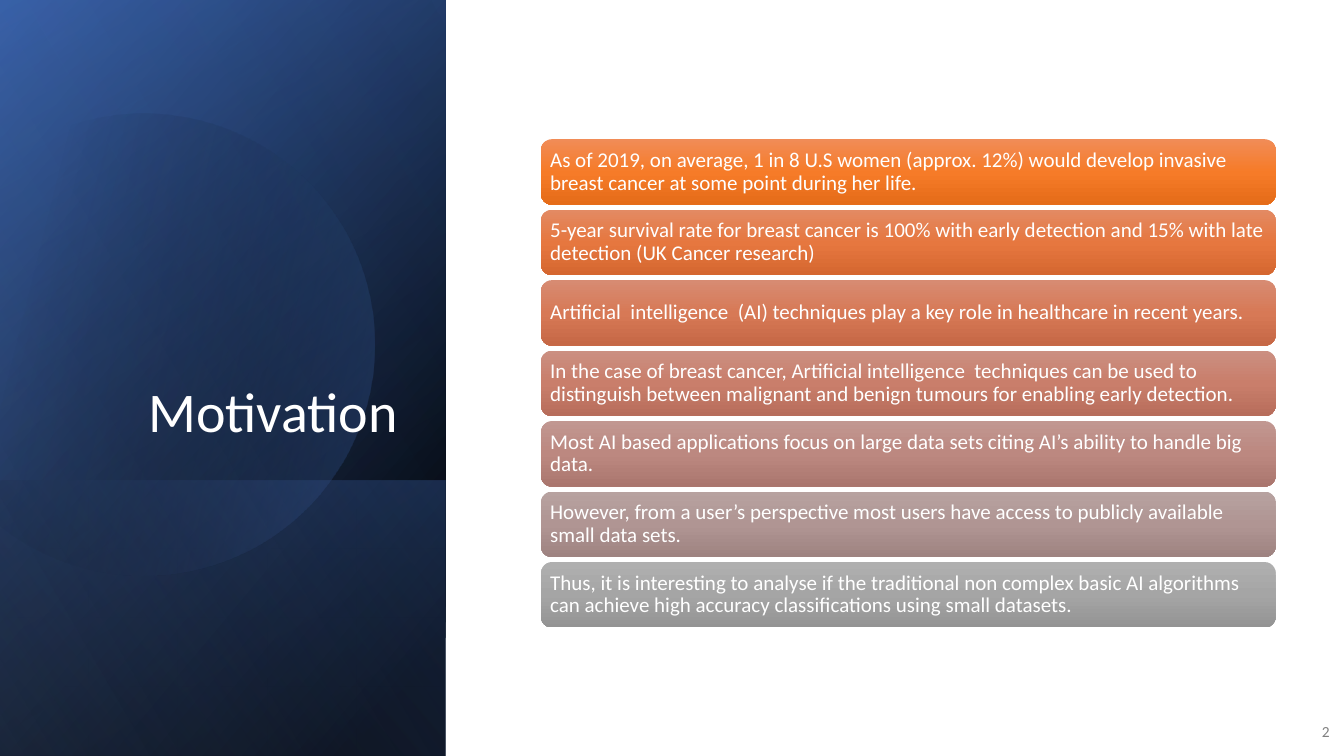
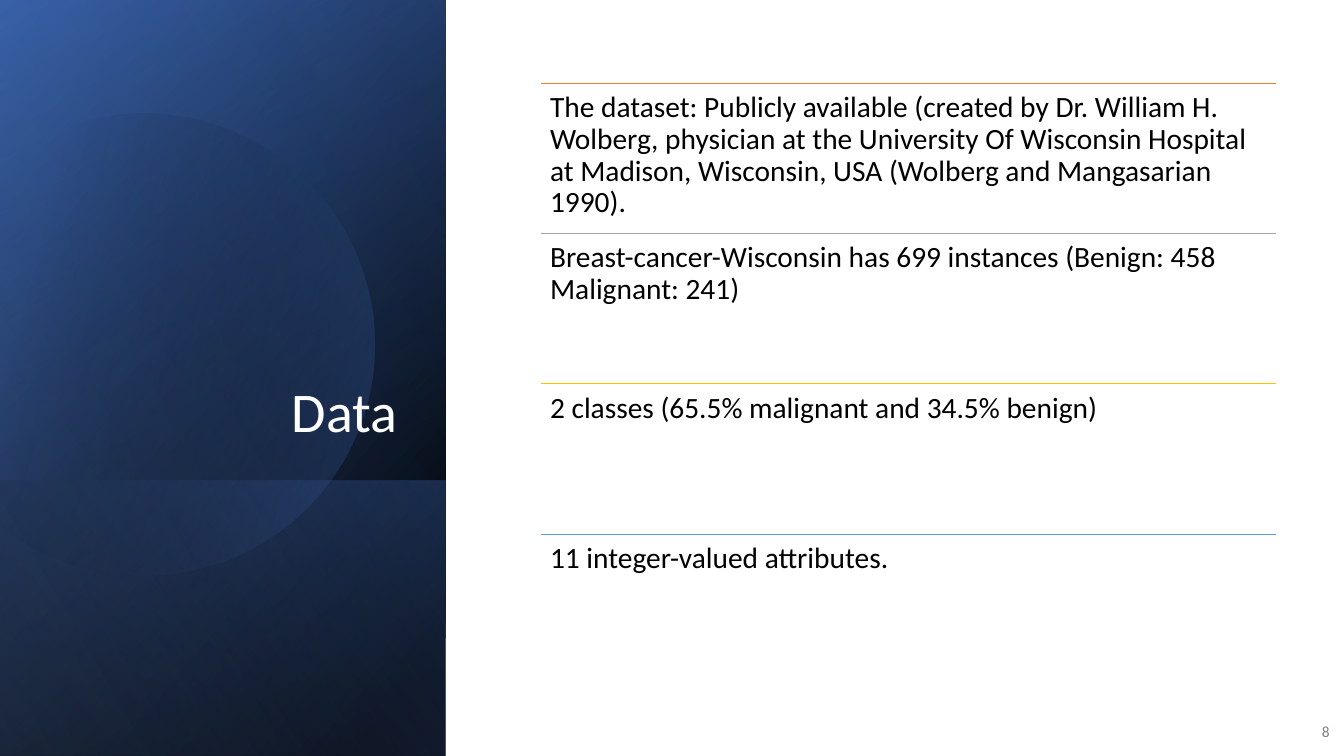
from collections import namedtuple
from dataclasses import dataclass
from math import cos, radians, sin, tan

from pptx import Presentation
from pptx.dml.color import RGBColor
from pptx.enum.shapes import MSO_CONNECTOR, MSO_SHAPE
from pptx.enum.text import MSO_ANCHOR, PP_ALIGN
from pptx.oxml import parse_xml
from pptx.oxml.ns import nsdecls, qn
from pptx.util import Inches, Pt


@dataclass(frozen=True)
class Theme:
    font: str = "Calibri"
    white: str = "FFFFFF"
    ink: str = "000000"
    muted: str = "808080"
    navy: str = "2F5597"
    blue: str = "4472C4"
    pale: str = "8FAADC"
    title: int = 40
    body: int = 21
    bar: int = 15
    foot: int = 11
    rule: float = 0.5


T = Theme()
WIDE, HIGH = 13.33, 7.5
COLS = ROWS = 12


class Box(namedtuple("Box", "x y w h")):
    """An area of the slide, in inches."""

    def emu(self):
        return [Inches(v) for v in self]

    def rows(self, count, gap=0):
        high = (self.h - gap * (count - 1)) / count
        return [Box(self.x, self.y + i * (high + gap), self.w, high)
                for i in range(count)]

    def turn(self):
        """The box which covers this one after a quarter turn."""
        shift = (self.w - self.h) / 2
        return Box(self.x + shift, self.y - shift, self.h, self.w)


def grid(col, row, wide, high):
    return Box(col * WIDE / COLS, row * HIGH / ROWS,
               wide * WIDE / COLS, high * HIGH / ROWS)


PANEL = grid(0, 0, 3.98, 12)
LOWER = grid(0, 7.62, 3.98, 4.38)
TITLE = grid(0.58, 2.94, 3.06, 4.19)
FOOT = grid(11.52, 11.29, 0.44, 0.64)
BARS = grid(4.83, 2.21, 6.56, 7.75)
LIST = grid(4.83, 1.32, 6.56, 9.54)

# Panel layers: box, angle, stops of position, colour and opacity
LAYERS = [
    (PANEL, 50, [(8, T.ink, 100), (100, T.navy, 100)]),
    (PANEL, 30, [(0, T.ink, 0), (99, T.blue, 46)]),
    (LOWER, 130, [(2, T.blue, 29), (100, T.ink, 30)]),
]
GLOW = (30, [(29, T.ink, 0), (100, T.blue, 43)])
SHEEN = (PANEL, 120, [(0, T.ink, 0), (99, T.pale, 11)])
TILT = 343.9
ARC = (-118, -90, 0, 90, 150)  # degrees, broken at the extremes

REASONS = [
    ("As of 2019, on average, 1 in 8 U.S women (approx. 12%) would develop "
     "invasive breast cancer at some point during her life.",
     ("F18C57", "F67B28", "E56C19")),
    ("5-year survival rate for breast cancer is 100% with early detection "
     "and 15% with late detection (UK Cancer research)",
     ("E38A63", "E6773F", "D56730")),
    ("Artificial  intelligence  (AI) techniques play a key role in "
     "healthcare in recent years.",
     ("D78B72", "D77956", "C66846")),
    ("In the case of breast cancer, Artificial intelligence  techniques can "
     "be used to distinguish between malignant and benign tumours for "
     "enabling early detection.",
     ("CB8F81", "C97E6B", "B76D5B")),
    ("Most AI based applications focus on large data sets citing AI’s "
     "ability to handle big data.",
     ("C19791", "BC8880", "AA766E")),
    ("However, from a user’s perspective most users have access to publicly "
     "available small data sets.",
     ("B7A2A0", "B09593", "9E8381")),
    ("Thus, it is interesting to analyse if the traditional non complex "
     "basic AI algorithms can achieve high accuracy classifications using "
     "small datasets.",
     ("AFAFAF", "A5A5A5", "939393")),
]
FACTS = [
    ("The dataset: Publicly available (created by Dr. William H. Wolberg, "
     "physician at the University Of Wisconsin Hospital at Madison, "
     "Wisconsin, USA (Wolberg and Mangasarian 1990).", "ED7D31"),
    ("Breast-cancer-Wisconsin has 699 instances (Benign: 458 Malignant: "
     "241)", "A5A5A5"),
    ("2 classes (65.5% malignant and 34.5% benign)", "FFC000"),
    ("11 integer-valued attributes.", "5B9BD5"),
]


# Formatting helpers
def apply(item, values):
    for name, value in values.items():
        setattr(item, name, value)


def write(shape, text, size, color, anchor=MSO_ANCHOR.TOP,
          align=PP_ALIGN.LEFT, space=0.9, inset=None):
    frame = shape.text_frame
    frame.text = text
    apply(frame, {"word_wrap": True, "vertical_anchor": anchor})
    if inset is not None:
        sides = ("left", "top", "right", "bottom")
        apply(frame, {f"margin_{side}": Inches(inset) for side in sides})
    para = frame.paragraphs[0]
    apply(para, {"alignment": align, "line_spacing": space})
    font = para.runs[0].font
    apply(font, {"name": T.font, "size": Pt(size)})
    font.color.rgb = RGBColor.from_string(color)


def shade(shape, angle, stops):
    """Fill with a gradient, with no outline and no shadow."""
    shape.shadow.inherit = False
    shape.line.fill.background()
    shape.fill.background()
    marks = "".join(
        f'<a:gs pos="{pos * 1000}"><a:srgbClr val="{color}">'
        f'<a:alpha val="{alpha * 1000}"/></a:srgbClr></a:gs>'
        for pos, color, alpha in stops)
    fill = parse_xml(
        f'<a:gradFill {nsdecls("a")} rotWithShape="1"><a:gsLst>{marks}'
        f'</a:gsLst><a:lin ang="{angle * 60000}" scaled="0"/></a:gradFill>')
    props = shape._element.spPr
    props.replace(props.find(qn("a:noFill")), fill)


# Left panel
def layer(slide, box, angle, stops):
    rect = slide.shapes.add_shape(MSO_SHAPE.RECTANGLE, *box.turn().emu())
    rect.rotation = 90
    rect._element.spPr.xfrm.set("flipH", "1")
    shade(rect, angle, stops)


def disc(slide, box):
    """A tilted circle with a chord cut off beyond the left edge."""
    mid_x, mid_y = box.x + 0.32 * box.w, box.y + 0.45 * box.h
    size = Inches(0.61 * box.h / 2)
    turns = [radians(a) for a in ARC]
    dots = [(round(Inches(mid_x) + size * cos(a)),
             round(Inches(mid_y) + size * sin(a))) for a in turns]
    draft = slide.shapes.build_freeform(*dots[0])
    draft.add_line_segments(dots[1:], close=True)
    shape = draft.convert_to_shape()

    # Bend each straight segment into an arc
    left, top = shape.left, shape.top
    lines = list(shape._element.iter(qn("a:lnTo")))
    for i, line in enumerate(lines[:len(ARC) - 1]):
        start, end = turns[i], turns[i + 1]
        pull = size * 4 / 3 * tan((end - start) / 4)
        (x1, y1), (x2, y2) = dots[i], dots[i + 1]
        knots = [(x1 - pull * sin(start), y1 + pull * cos(start)),
                 (x2 + pull * sin(end), y2 - pull * cos(end)), (x2, y2)]
        points = "".join(
            f'<a:pt x="{round(x - left)}" y="{round(y - top)}"/>'
            for x, y in knots)
        line.getparent().replace(line, parse_xml(
            f'<a:cubicBezTo {nsdecls("a")}>{points}</a:cubicBezTo>'))
    shape.rotation = TILT
    shade(shape, *GLOW)


def frame(deck, title, number):
    """A slide with its panel, title and page number."""
    slide = deck.slides.add_slide(deck.slide_layouts[5])
    for item in LAYERS:
        layer(slide, *item)
    disc(slide, PANEL)
    layer(slide, *SHEEN)

    head = slide.shapes.title
    slide.shapes._spTree.append(head._element)  # above the panel
    apply(head, dict(zip(("left", "top", "width", "height"), TITLE.emu())))
    write(head, title, T.title, T.white, MSO_ANCHOR.BOTTOM, PP_ALIGN.RIGHT)

    foot = slide.shapes.add_textbox(*FOOT.emu())
    write(foot, number, T.foot, T.muted, MSO_ANCHOR.MIDDLE,
          PP_ALIGN.RIGHT, 1.0)
    return slide


# Right-hand content
def bars(slide, box, items):
    for area, (text, tones) in zip(box.rows(len(items), 0.05), items):
        bar = slide.shapes.add_shape(MSO_SHAPE.ROUNDED_RECTANGLE, *area.emu())
        shade(bar, 90, [(i * 50, tone, 100) for i, tone in enumerate(tones)])
        write(bar, text, T.bar, T.white, MSO_ANCHOR.MIDDLE, inset=0.06)


def ruled(slide, box, items):
    for area, (text, color) in zip(box.rows(len(items)), items):
        left, top, wide, _ = area.emu()
        rule = slide.shapes.add_connector(
            MSO_CONNECTOR.STRAIGHT, left, top, left + wide, top)
        rule.line.width = Pt(T.rule)
        rule.line.color.rgb = RGBColor.from_string(color)
        rule._element.spPr.append(
            parse_xml(f'<a:effectLst {nsdecls("a")}/>'))
        note = slide.shapes.add_textbox(*area.emu())
        write(note, text, T.body, T.ink, inset=0.09)


def main():
    deck = Presentation()
    apply(deck, {"slide_width": Inches(WIDE), "slide_height": Inches(HIGH)})
    bars(frame(deck, "Motivation", "2"), BARS, REASONS)
    ruled(frame(deck, "Data", "8"), LIST, FACTS)
    deck.save("out.pptx")


if __name__ == "__main__":
    main()
